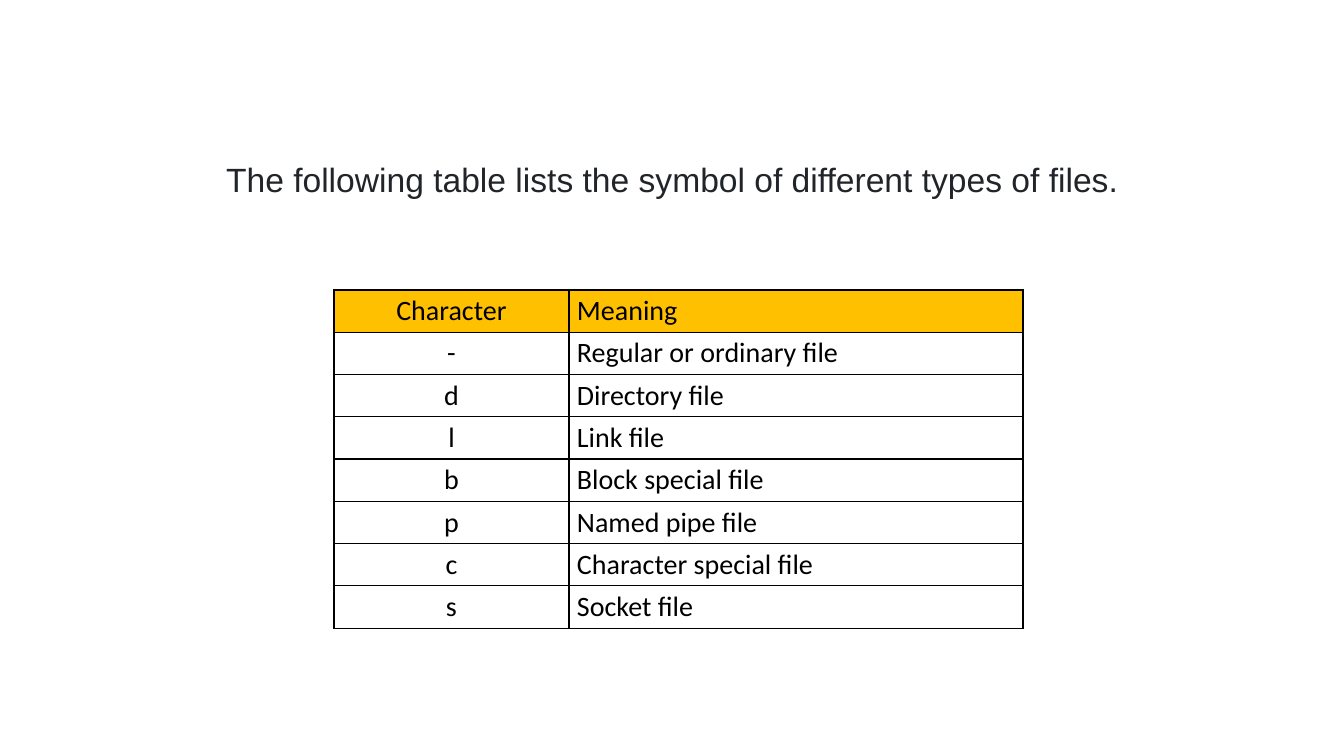
"""Build a slide with a table of file type symbols."""
from dataclasses import dataclass

from lxml.etree import SubElement
from pptx import Presentation
from pptx.dml.color import RGBColor
from pptx.enum.text import MSO_ANCHOR, PP_ALIGN
from pptx.oxml.ns import qn
from pptx.util import Pt

TITLE = "The following table lists the symbol of different types of files."
ROWS = [
    ("Character", "Meaning"),
    ("-", "Regular or ordinary file"),
    ("d", "Directory file"),
    ("l", "Link file"),
    ("b", "Block special file"),
    ("p", "Named pipe file"),
    ("c", "Character special file"),
    ("s", "Socket file"),
]
SLIDE = (1344, 756)
TITLE_BOX = (216, 109, 958, 146)
TABLE_AT = (334, 290)
COLUMNS = (235, 454)
ALIGNS = (PP_ALIGN.CENTER, PP_ALIGN.LEFT)
ROW_HEIGHT = 42
PAD_X, PAD_Y = 8, 4


@dataclass(frozen=True)
class Theme:
    title_font: str = "Arial"
    table_font: str = "Calibri"
    title_size: int = 24
    table_size: int = 20
    title: str = "212529"
    text: str = "000000"
    header: str = "FFC000"
    body: str = "FFFFFF"
    border: str = "000000"
    border_width: int = 1


THEME = Theme()


def px(n):
    return round(n * 914400 / 100.8)


def apply(target, values):
    for name, value in values.items():
        setattr(target, name, value)


def write(p, text, align, font, size, color):
    p.alignment = align
    r = p.add_run()
    r.text = text
    apply(r.font, {"name": font, "size": Pt(size), "bold": False})
    r.font.color.rgb = RGBColor.from_string(color)


def add_borders(cell):
    tcPr = cell._tc.get_or_add_tcPr()
    for i, side in enumerate(("lnL", "lnR", "lnT", "lnB")):
        ln = tcPr.makeelement(qn(f"a:{side}"), {"w": str(Pt(THEME.border_width))})
        fill = SubElement(ln, qn("a:solidFill"))
        SubElement(fill, qn("a:srgbClr"), val=THEME.border)
        tcPr.insert(i, ln)


def add_title(s):
    sp = s.shapes.title
    apply(sp, dict(zip(("left", "top", "width", "height"), map(px, TITLE_BOX))))
    tf = sp.text_frame
    apply(tf, {"word_wrap": True, "vertical_anchor": MSO_ANCHOR.MIDDLE})
    p = tf.paragraphs[0]
    p.line_spacing = 0.9
    write(p, TITLE, PP_ALIGN.LEFT, THEME.title_font, THEME.title_size, THEME.title)


def add_file_table(s):
    box = (*TABLE_AT, sum(COLUMNS), ROW_HEIGHT * len(ROWS))
    table = s.shapes.add_table(len(ROWS), len(COLUMNS), *map(px, box)).table
    apply(table, {"first_row": False, "horz_banding": False})
    for column, width in zip(table.columns, COLUMNS):
        column.width = px(width)
    margins = {
        "margin_left": px(PAD_X), "margin_right": px(PAD_X),
        "margin_top": px(PAD_Y), "margin_bottom": px(PAD_Y),
    }
    for i, row in enumerate(ROWS):
        for j, (text, align) in enumerate(zip(row, ALIGNS)):
            cell = table.cell(i, j)
            apply(cell, margins)
            cell.fill.solid()
            color = THEME.body if i else THEME.header
            cell.fill.fore_color.rgb = RGBColor.from_string(color)
            add_borders(cell)
            write(cell.text_frame.paragraphs[0], text, align,
                  THEME.table_font, THEME.table_size, THEME.text)


def main():
    prs = Presentation()
    prs.slide_width, prs.slide_height = map(px, SLIDE)
    s = prs.slides.add_slide(prs.slide_layouts[5])
    add_title(s)
    add_file_table(s)
    prs.save("out.pptx")


if __name__ == "__main__":
    main()
